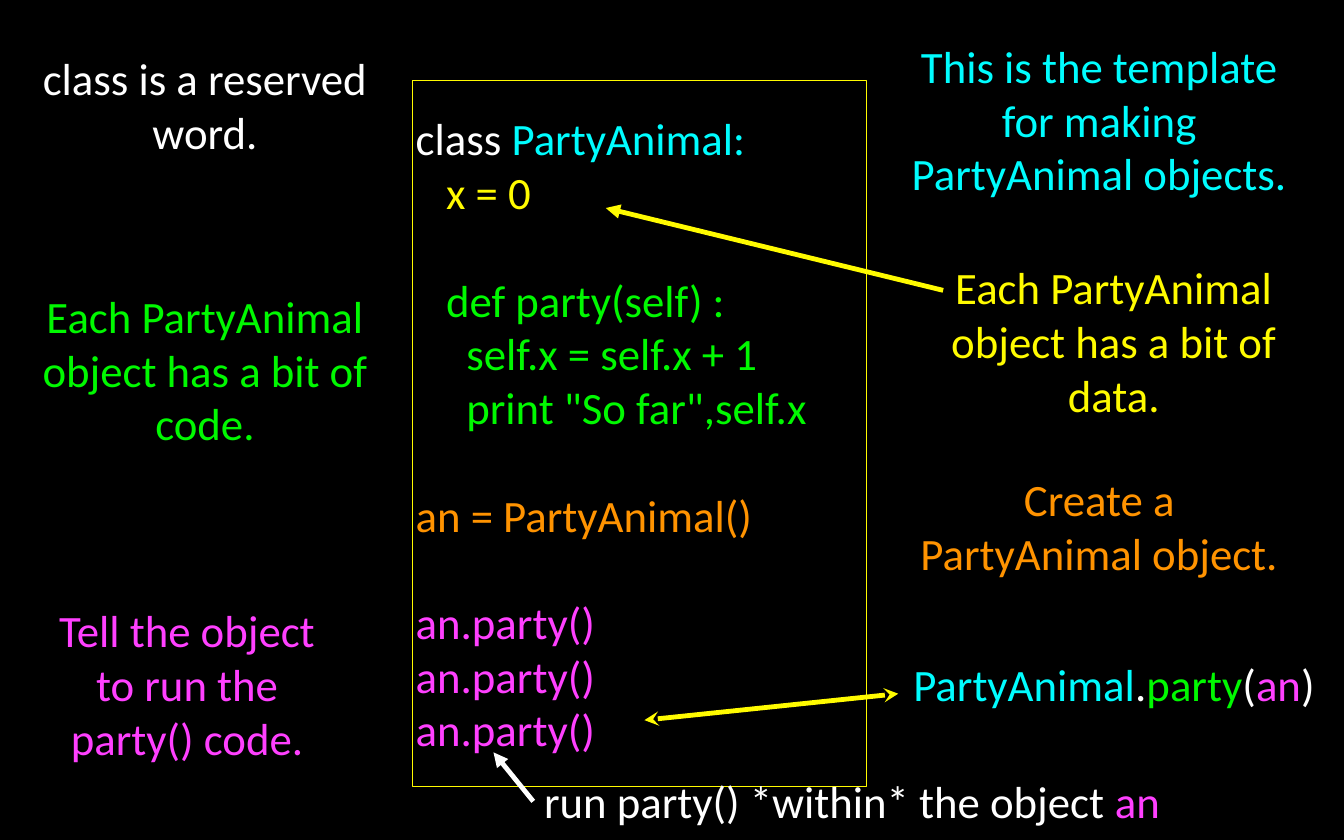
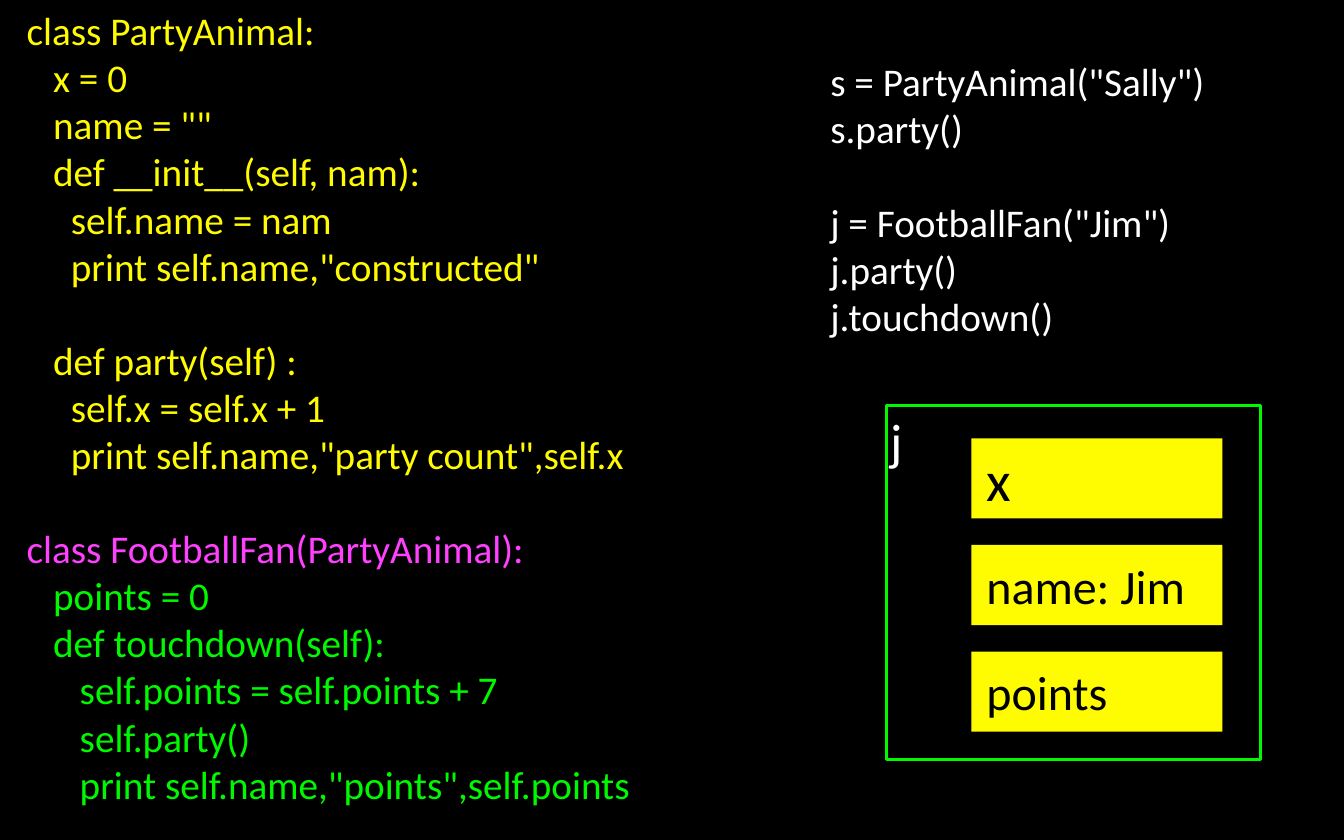
from dataclasses import dataclass

import pptx
import pptx.dml.color
import pptx.enum.shapes
import pptx.enum.text
import pptx.oxml
import pptx.oxml.ns
import pptx.slide
import pptx.text.text
import pptx.util
from lxml import etree

RGBColor = pptx.dml.color.RGBColor
Align = pptx.enum.text.PP_ALIGN
Anchor = pptx.enum.text.MSO_ANCHOR

# Palette and type shared by the slides
BLACK = RGBColor(0x00, 0x00, 0x00)
WHITE = RGBColor(0xFF, 0xFF, 0xFF)
CYAN = RGBColor(0x00, 0xFD, 0xFF)
YELLOW = RGBColor(0xFF, 0xFB, 0x00)
GREEN = RGBColor(0x00, 0xF9, 0x00)
ORANGE = RGBColor(0xFF, 0x93, 0x00)
MAGENTA = RGBColor(0xFF, 0x40, 0xFF)
FONT = "Calibri"
NOTE_SIZE = 56
LISTING_SIZE = 49
LINE_HEIGHT = 1.2  # share of the font size
INSET = 0.06  # inches

# Grid of the slide
SLIDE_WIDTH = pptx.util.Inches(23.34)
SLIDE_HEIGHT = pptx.util.Inches(14.58)
COLUMNS, ROWS = 96, 60


@dataclass(frozen=True)
class Area:
    """A place on the slide, in grid columns and rows."""
    column: float
    row: float
    columns: float
    rows: float

    def box(self) -> tuple[int, int, int, int]:
        return (across(self.column), down(self.row),
                across(self.columns), down(self.rows))


@dataclass(frozen=True)
class Span:
    text: str
    color: RGBColor


@dataclass(frozen=True)
class Line:
    """One paragraph; blank_above leaves one empty line before it."""
    spans: tuple[Span, ...]
    blank_above: bool = False


@dataclass(frozen=True)
class Style:
    size: float = NOTE_SIZE
    align: Align = Align.LEFT
    anchor: Anchor = Anchor.MIDDLE
    left_inset: float = INSET


@dataclass(frozen=True)
class Note:
    area: Area
    spans: tuple[Span, ...]


@dataclass(frozen=True)
class Arrow:
    start: tuple[float, float]
    end: tuple[float, float]
    color: RGBColor
    ends: tuple[str, ...] = ("headEnd",)
    kind: str = "triangle"


NOTE_STYLE = Style(align=Align.CENTER)
LISTING_STYLE = Style(size=LISTING_SIZE)


def across(columns: float) -> int:
    return round(SLIDE_WIDTH * columns / COLUMNS)


def down(rows: float) -> int:
    return round(SLIDE_HEIGHT * rows / ROWS)


def code(source: str, color: RGBColor) -> list[Line]:
    """Turn source text into lines, with empty lines as spacing."""
    lines: list[Line] = []
    blank = False
    for text in source.strip("\n").split("\n"):
        if text:
            lines.append(Line((Span(text, color),), blank))
        blank = not text
    return lines


def write(frame: pptx.text.text.TextFrame, lines: list[Line], style: Style) -> None:
    frame.word_wrap = True
    frame.vertical_anchor = style.anchor
    frame.margin_left = pptx.util.Inches(style.left_inset)
    frame.margin_right = frame.margin_top = frame.margin_bottom = pptx.util.Inches(INSET)
    for index, line in enumerate(lines):
        paragraph = frame.paragraphs[0] if index == 0 else frame.add_paragraph()
        paragraph.alignment = style.align
        if line.blank_above:
            paragraph.space_before = pptx.util.Pt(round(style.size * LINE_HEIGHT))
        paragraph.font.name = FONT
        paragraph.font.size = pptx.util.Pt(style.size)
        paragraph.font.color.rgb = line.spans[0].color
        for span in line.spans:
            run = paragraph.add_run()
            run.text = span.text
            if span.color != line.spans[0].color:
                run.font.color.rgb = span.color


def add_text(slide: pptx.slide.Slide, area: Area, lines: list[Line], style: Style) -> None:
    write(slide.shapes.add_textbox(*area.box()).text_frame, lines, style)


def add_panel(slide: pptx.slide.Slide, area: Area, lines: list[Line], style: Style,
              fill: RGBColor | None = None, outline: RGBColor | None = None,
              weight: float = 1) -> None:
    panel = slide.shapes.add_shape(
        pptx.enum.shapes.MSO_SHAPE.RECTANGLE, *area.box())
    panel.shadow.inherit = False
    if fill is None:
        panel.fill.background()
    else:
        panel.fill.solid()
        panel.fill.fore_color.rgb = fill
    if outline is None:
        panel.line.fill.background()
    else:
        panel.line.color.rgb = outline
        panel.line.width = pptx.util.Pt(weight)
    write(panel.text_frame, lines, style)


def add_arrow(slide: pptx.slide.Slide, arrow: Arrow) -> None:
    connector = slide.shapes.add_connector(
        pptx.enum.shapes.MSO_CONNECTOR.STRAIGHT,
        across(arrow.start[0]), down(arrow.start[1]),
        across(arrow.end[0]), down(arrow.end[1]))
    connector.line.color.rgb = arrow.color
    connector.line.width = pptx.util.Pt(6)
    outline = connector.line._get_or_add_ln()
    for end in arrow.ends:
        etree.SubElement(outline, pptx.oxml.ns.qn(f"a:{end}"), type=arrow.kind)
    etree.SubElement(connector._element.spPr, pptx.oxml.ns.qn("a:effectLst"))


def add_black_slide(deck: pptx.presentation.Presentation) -> pptx.slide.Slide:
    slide = deck.slides.add_slide(deck.slide_layouts[6])
    slide.background.fill.solid()
    slide.background.fill.fore_color.rgb = BLACK
    return slide


# Slide 1: a class and what its parts mean
LEFT, RIGHT, NOTE_COLUMNS = 0.78, 64.66, 27.72

CLASS_CODE = [
    Line((Span("class ", WHITE), Span("PartyAnimal:", CYAN))),
    *code("   x = 0", YELLOW),
    *code("""

   def party(self) :
     self.x = self.x + 1
     print "So far",self.x
""", GREEN),
    Line((Span("an = PartyAnimal()", ORANGE),), True),
    Line((Span("an.party()", MAGENTA),), True),
    *code("an.party()\nan.party()", MAGENTA),
]
# The method starts a new block
CLASS_CODE[2] = Line(CLASS_CODE[2].spans, True)

NOTES = [
    Note(Area(RIGHT, 1.22, NOTE_COLUMNS, 14.6),
         (Span("This is the template for making PartyAnimal objects.", CYAN),)),
    Note(Area(LEFT, 3.37, NOTE_COLUMNS, 8.15),
         (Span("class is a reserved word.", WHITE),)),
    Note(Area(RIGHT + 1.03, 18.31, NOTE_COLUMNS, 12),
         (Span("Each PartyAnimal object has a bit of data.", YELLOW),)),
    Note(Area(LEFT, 20.37, NOTE_COLUMNS, 12),
         (Span("Each PartyAnimal object has a bit of code.", GREEN),)),
    Note(Area(RIGHT, 31.56, NOTE_COLUMNS, 12),
         (Span("Create a PartyAnimal object.", ORANGE),)),
    Note(Area(2.63, 40.9, 21.47, 15.84),
         (Span("Tell the object to run the party() code.", MAGENTA),)),
    Note(Area(35.62, 55.02, 50.47, 4.28),
         (Span("run party() *within* the object ", WHITE), Span("an", MAGENTA))),
    Note(Area(63.14, 46.67, 32.86, 4.28),
         (Span("PartyAnimal", CYAN), Span(".", WHITE), Span("party", GREEN),
          Span("(", WHITE), Span("an", MAGENTA), Span(")", WHITE))),
]

ARROWS = [
    Arrow((43.27, 14.86), (67.37, 20.74), YELLOW),
    Arrow((35.25, 53.74), (38.09, 57.24), WHITE),
    Arrow((46.03, 51.44), (64.16, 49.55), YELLOW, ("headEnd", "tailEnd"), "stealth"),
]


def build_class_slide(deck: pptx.presentation.Presentation) -> None:
    slide = add_black_slide(deck)
    add_panel(slide, Area(29.45, 5.76, 32.41, 50.41), CLASS_CODE, Style(),
              outline=YELLOW)
    for note in NOTES:
        add_text(slide, note.area, [Line(note.spans)], NOTE_STYLE)
    for arrow in ARROWS:
        add_arrow(slide, arrow)


# Slide 2: inheritance, and the object it makes
PARENT_CLASS = code("""
class PartyAnimal:
   x = 0
   name = ""
   def __init__(self, nam):
     self.name = nam
     print self.name,"constructed"

   def party(self) :
     self.x = self.x + 1
     print self.name,"party count",self.x
""", YELLOW)

CHILD_HEADER = Line((Span("class FootballFan(PartyAnimal):", MAGENTA),), True)

CHILD_BODY = code("""
   points = 0
   def touchdown(self):
      self.points = self.points + 7
      self.party()
      print self.name,"points",self.points
""", GREEN)

CALLS = code("""
s = PartyAnimal("Sally")
s.party()

j = FootballFan("Jim")
j.party()
j.touchdown()
""", WHITE)

FIELDS = [("x", 71), ("name: Jim", 60), ("points", 60)]
FIELD_TOP, FIELD_PITCH = 31.32, 7.61


def build_inheritance_slide(deck: pptx.presentation.Presentation) -> None:
    slide = add_black_slide(deck)
    add_text(slide, Area(1.65, 0.25, 50.26, 57.61),
             [*PARENT_CLASS, CHILD_HEADER, *CHILD_BODY], LISTING_STYLE)
    add_text(slide, Area(59.06, 3.87, 30.77, 20.62), CALLS, LISTING_STYLE)

    # Object j and its fields
    add_panel(slide, Area(63.34, 28.97, 26.69, 25.31), code("j", WHITE),
              Style(size=64, anchor=Anchor.TOP), outline=GREEN, weight=4)
    for index, (field, size) in enumerate(FIELDS):
        area = Area(69.39, FIELD_TOP + index * FIELD_PITCH, 17.93, 5.72)
        add_panel(slide, area, code(field, BLACK),
                  Style(size=size, left_inset=0.26), fill=YELLOW)


def main() -> None:
    deck = pptx.Presentation()
    deck.slide_width, deck.slide_height = SLIDE_WIDTH, SLIDE_HEIGHT
    build_class_slide(deck)
    build_inheritance_slide(deck)
    deck.save("out.pptx")


if __name__ == "__main__":
    main()
